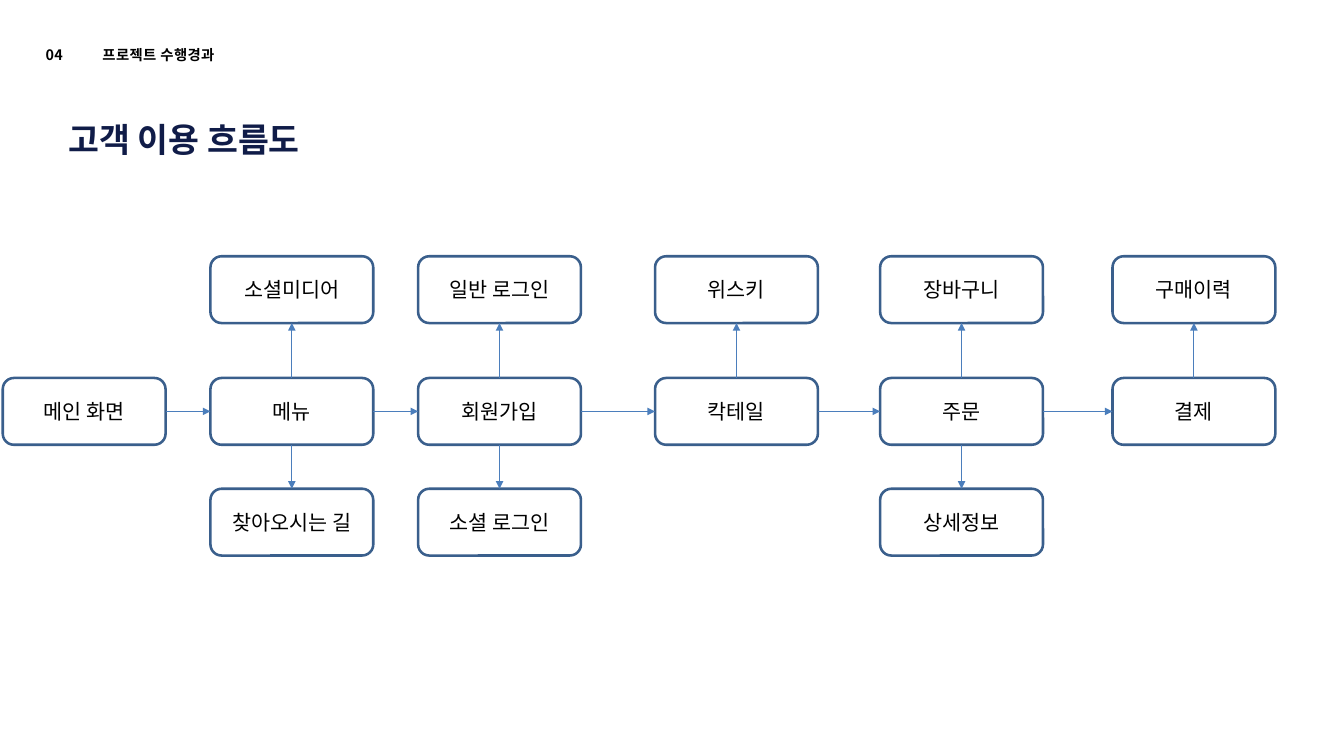
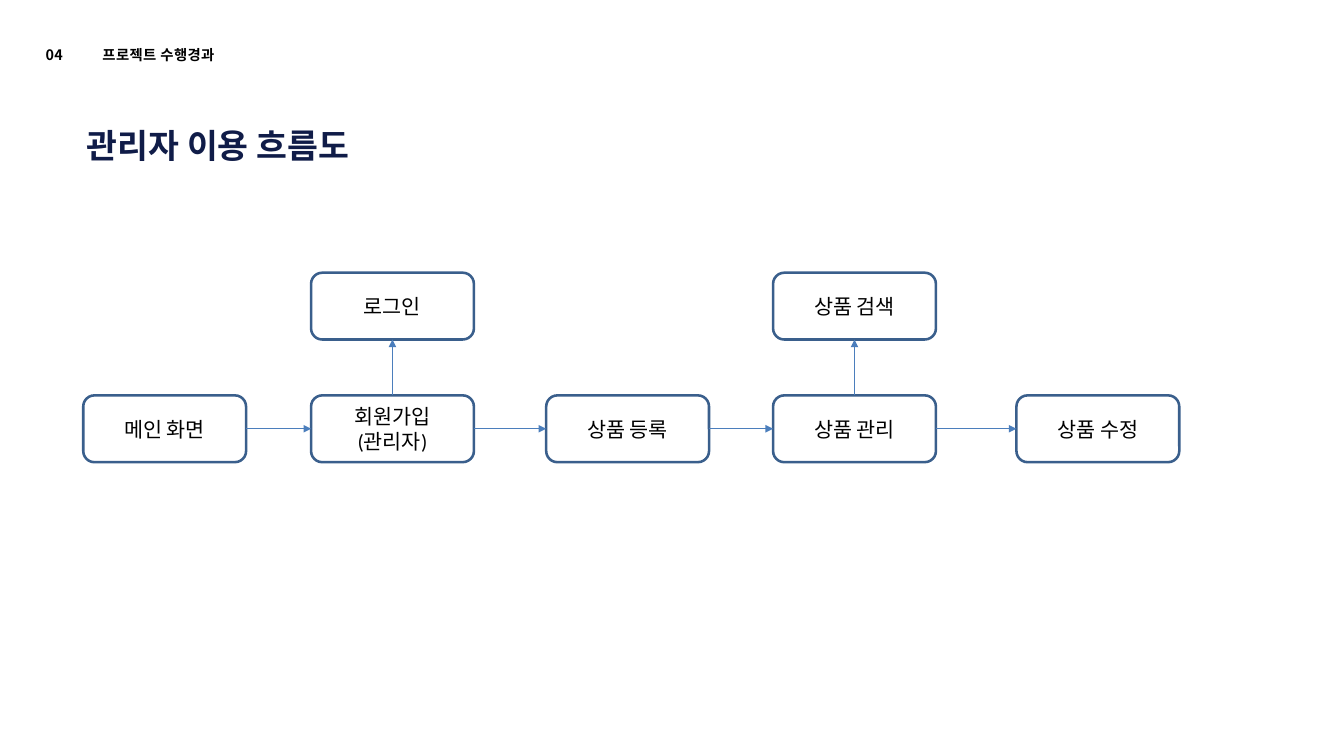
from lxml.etree import SubElement
from pptx import Presentation
from pptx.dml.color import RGBColor
from pptx.enum.shapes import MSO_CONNECTOR, MSO_SHAPE
from pptx.enum.text import MSO_ANCHOR, MSO_AUTO_SIZE, PP_ALIGN
from pptx.oxml.ns import qn
from pptx.util import Inches, Pt

BLACK = RGBColor(0x00, 0x00, 0x00)
WHITE = RGBColor(0xFF, 0xFF, 0xFF)
NAVY = RGBColor(0x10, 0x1C, 0x48)
BOX_BLUE = RGBColor(0x3A, 0x5F, 0x8C)
ARROW_BLUE = RGBColor(0x4B, 0x7E, 0xBC)

HEADING_FONT = "Noto Sans CJK KR"
HEADER_FORMAT = {"name": HEADING_FONT, "size": Pt(11.3), "bold": True}
TITLE_FORMAT = {"name": HEADING_FONT, "size": Pt(26.4), "bold": True}
BOX_FORMAT = {"name": "Calibri", "size": Pt(16.3), "bold": False}
HEADING_FRAME = {
    "margin_left": Inches(0.02),
    "margin_top": Inches(0.02),
    "margin_right": 0,
    "margin_bottom": 0,
    "word_wrap": True,
    "vertical_anchor": MSO_ANCHOR.TOP,
    "auto_size": MSO_AUTO_SIZE.SHAPE_TO_FIT_TEXT,
}

BOX_WIDTH, BOX_HEIGHT = 1.78, 0.73
TOP, LEFT, BOTTOM, RIGHT = range(4)

HEADERS = [
    (0.48, 0.25, [("0", 10), ("4", 20)]),
    (1.1, 1.91, [("프로젝트 수행경과", 30)]),
]

FLOWS = [
    {
        "title": "고객 이용 흐름도",
        "title_place": (0.73, 1.28, 2.81, 0.46),
        "rows": {"above": 2.8, "main": 4.13, "below": 5.34},
        "columns": [
            (0.03, {"main": "메인 화면"}),
            (2.3, {"main": "메뉴", "above": "소셜미디어", "below": "찾아오시는 길"}),
            (4.57, {"main": "회원가입", "above": "일반 로그인", "below": "소셜 로그인"}),
            (7.16, {"main": "칵테일", "above": "위스키"}),
            (9.62, {"main": "주문", "above": "장바구니", "below": "상세정보"}),
            (12.16, {"main": "결제", "above": "구매이력"}),
        ],
    },
    {
        "title": "관리자 이용 흐름도",
        "title_place": (0.93, 1.34, 3.18, 0.46),
        "rows": {"above": 2.98, "main": 4.32},
        "columns": [
            (0.91, {"main": "메인 화면"}),
            (3.4, {"main": "회원가입\n(관리자)", "above": "로그인"}),
            (5.97, {"main": "상품 등록"}),
            (8.45, {"main": "상품 관리", "above": "상품 검색"}),
            (11.11, {"main": "상품 수정"}),
        ],
    },
]


def format_text(text_frame, font_format, color, alignment):
    for paragraph in text_frame.paragraphs:
        paragraph.alignment = alignment
        for run in paragraph.runs:
            for name, value in font_format.items():
                setattr(run.font, name, value)
            run.font.color.rgb = color
            if font_format["name"] == HEADING_FONT:
                SubElement(run.font._element, qn("a:ea"), typeface=HEADING_FONT)


def add_arrow(slide, start, start_side, end, end_side):
    arrow = slide.shapes.add_connector(MSO_CONNECTOR.STRAIGHT, 0, 0, 0, 0)
    arrow.begin_connect(start, start_side)
    arrow.end_connect(end, end_side)
    arrow.line.color.rgb = ARROW_BLUE
    arrow.line.width = Pt(0.75)
    SubElement(arrow.line._get_or_add_ln(), qn("a:tailEnd"), type="triangle")
    SubElement(arrow._element.spPr, qn("a:effectLst"))


presentation = Presentation()
presentation.slide_width = Inches(14.69)
presentation.slide_height = Inches(8.26)
title_only = presentation.slide_layouts[5]

for flow in FLOWS:
    slide = presentation.slides.add_slide(title_only)

    title = slide.shapes.title
    for name, value in zip(("left", "top", "width", "height"), flow["title_place"]):
        setattr(title, name, Inches(value))
    title.text_frame.text = flow["title"]
    headings = [(title, TITLE_FORMAT, NAVY)]

    for left, width, parts in HEADERS:
        header = slide.shapes.add_textbox(Inches(left), Inches(0.48), Inches(width), Inches(0.21))
        for text, spacing in parts:
            run = header.text_frame.paragraphs[0].add_run()
            run.text = text
            run.font._element.set("spc", str(spacing))
        headings.append((header, HEADER_FORMAT, BLACK))

    for heading, font_format, color in headings:
        for name, value in HEADING_FRAME.items():
            setattr(heading.text_frame, name, value)
        format_text(heading.text_frame, font_format, color, PP_ALIGN.LEFT)

    columns = []
    for left, labels in flow["columns"]:
        boxes = {}
        for row, label in labels.items():
            box = slide.shapes.add_shape(
                MSO_SHAPE.ROUNDED_RECTANGLE,
                Inches(left), Inches(flow["rows"][row]), Inches(BOX_WIDTH), Inches(BOX_HEIGHT),
            )
            box.shadow.inherit = False
            box.fill.solid()
            box.fill.fore_color.rgb = WHITE
            box.line.color.rgb = BOX_BLUE
            box.line.width = Pt(2)
            box.text_frame.text = label
            box.text_frame.vertical_anchor = MSO_ANCHOR.MIDDLE
            format_text(box.text_frame, BOX_FORMAT, BLACK, PP_ALIGN.CENTER)
            boxes[row] = box
        columns.append(boxes)

    for boxes in columns:
        for row, start_side, end_side in (("above", TOP, BOTTOM), ("below", BOTTOM, TOP)):
            if row in boxes:
                add_arrow(slide, boxes["main"], start_side, boxes[row], end_side)
    for current, following in zip(columns, columns[1:]):
        add_arrow(slide, current["main"], RIGHT, following["main"], LEFT)

presentation.save("out.pptx")
